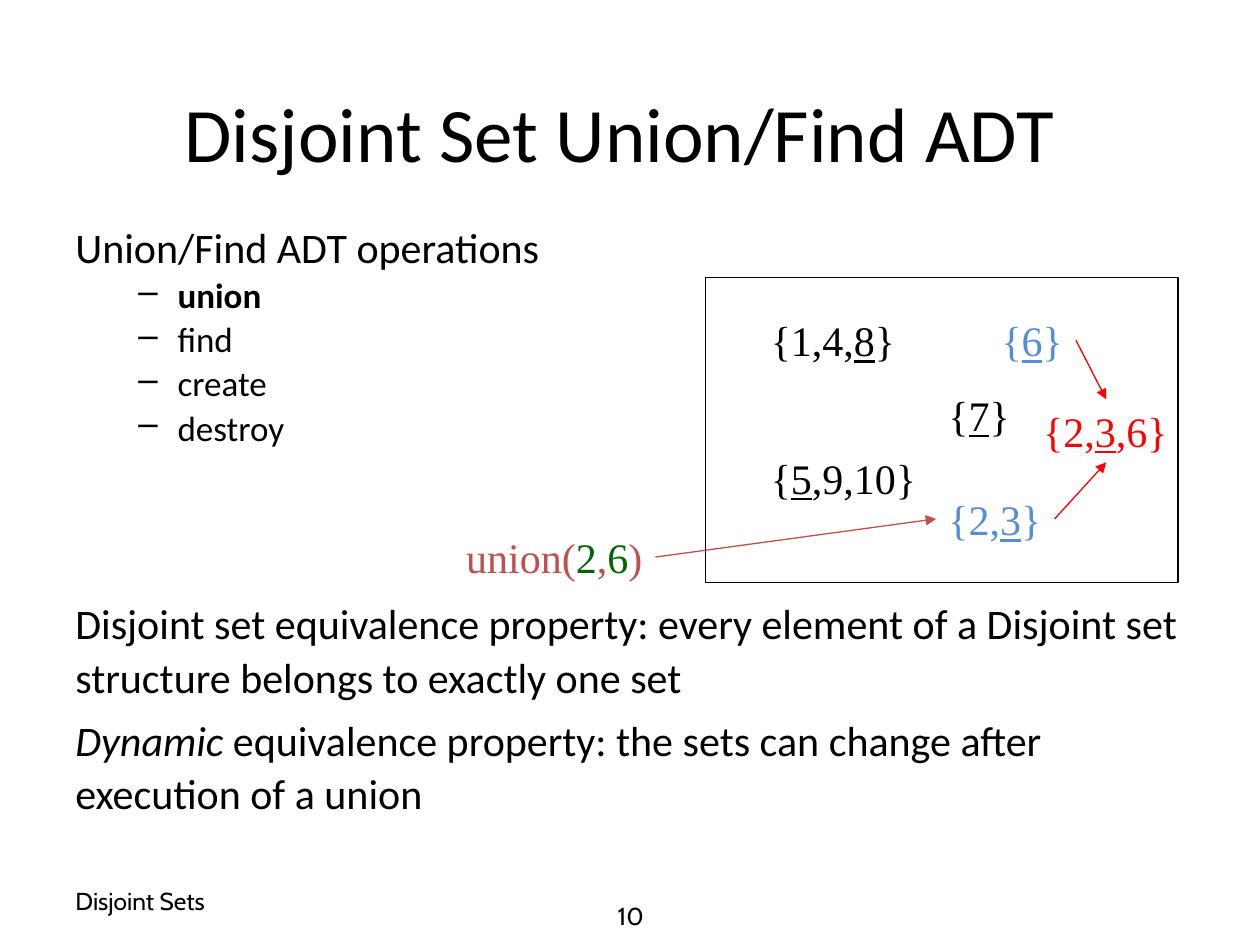
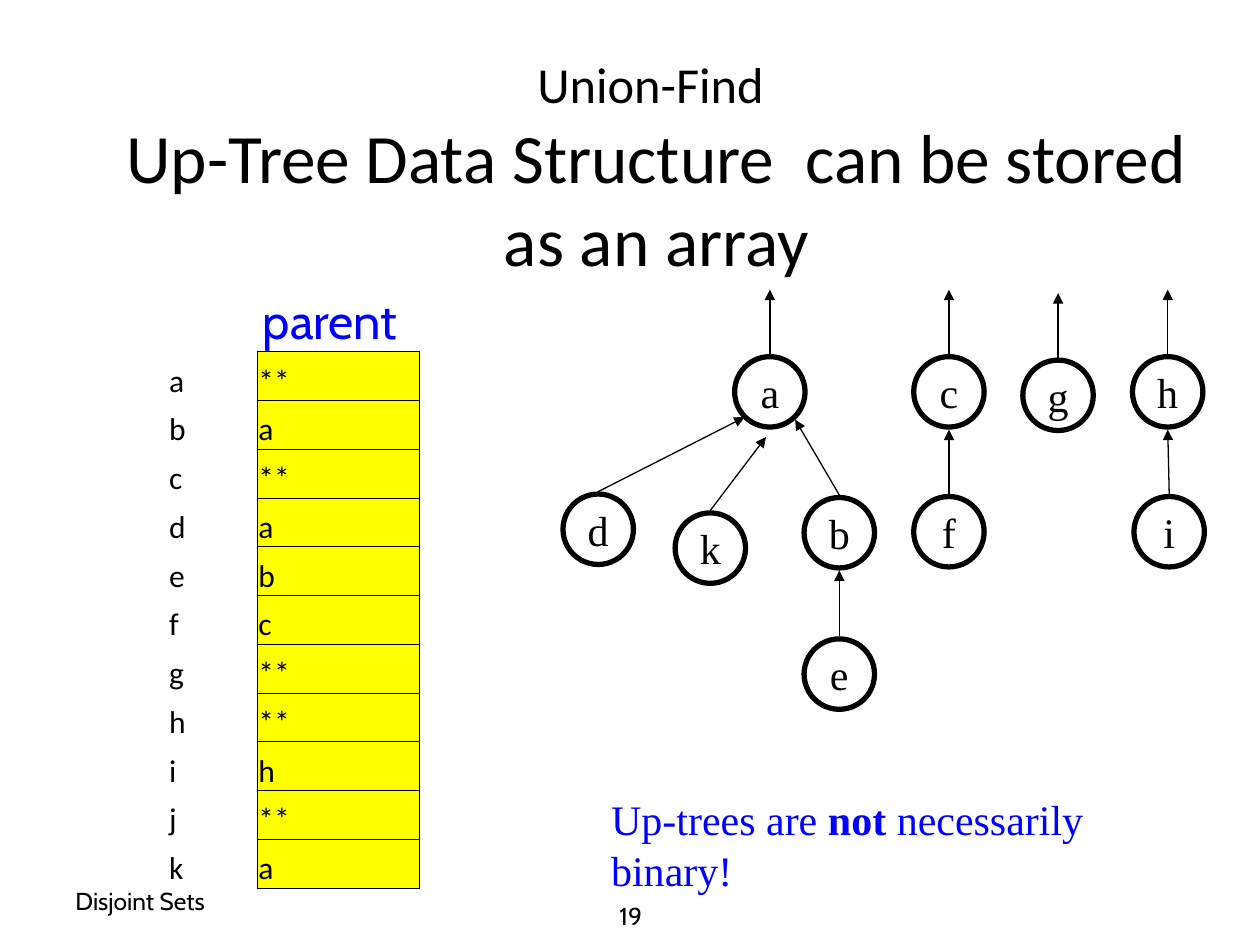
"""Build two slides on disjoint sets: the union/find operations and up-trees."""
from lxml import etree
from pptx import Presentation, util as u
from pptx.dml.color import RGBColor
from pptx.enum import shapes as sh, text as tx
from pptx.oxml import ns

HUES = {"black": "000000", "red": "FF0000", "brick": "C0504D", "sky": "558ED5",
        "green": "006600", "blue": "0000FF", "yellow": "FFFF00"}
SANS, SERIF, CABIN = "Calibri", "Times New Roman", "Cabin"
LEFT, MID, RIGHT = tx.PP_ALIGN.LEFT, tx.PP_ALIGN.CENTER, tx.PP_ALIGN.RIGHT
TOP, CORE, BASE = tx.MSO_ANCHOR.TOP, tx.MSO_ANCHOR.MIDDLE, tx.MSO_ANCHOR.BOTTOM
TINT = {name: RGBColor.from_string(code) for name, code in HUES.items()}


def write(par, runs, size, face=SANS, hue="black"):
    """Add (words, mark) runs; a mark is b, i, u or the name of a colour."""
    for words, mark in runs:
        run = par.add_run()
        run.text = words
        font = run.font
        font.name, font.size = face, u.Pt(size)
        font.color.rgb = TINT[mark if mark in TINT else hue]
        if mark == "b":
            font.bold = True
        elif mark == "i":
            font.italic = True
        elif mark == "u":
            font.underline = True


def box(page, spot, side=LEFT, anchor=TOP, wrap=True):
    """Add a text box at spot (cm) and return its first paragraph."""
    frame = page.shapes.add_textbox(*map(u.Cm, spot)).text_frame
    frame.word_wrap, frame.vertical_anchor = wrap, anchor
    par = frame.paragraphs[0]
    par.alignment = side
    return par


deck = Presentation()
deck.slide_width, deck.slide_height = u.Cm(25.4), u.Cm(19.05)
pages = []
for num in ("10", "19"):
    page = deck.slides.add_slide(deck.slide_layouts[6])
    write(box(page, (1.27, 17.65, 5.92, 1.02), anchor=CORE), [("Disjoint Sets", "")], 14, CABIN)
    write(box(page, (8.69, 17.95, 8.05, 1.02), MID, CORE), [(num, "")], 14, CABIN)
    pages.append(page)
ops, tree = pages
arrows = []

write(box(ops, (1.7, 1.07, 21.59, 3.18), MID, CORE), [("Disjoint Set Union/Find ADT", "")], 44)

lines = [
    ([("Union/Find ADT operations", "")], 24, 0.9, 0),
    ([("union", "b")], 20, 0.9, 3.6),
    ([("find", "")], 20, 0.9, 3.6),
    ([("create", "")], 20, 0.9, 3.6),
    ([("destroy", "")], 20, 0.9, 3.6),
    ([("Disjoint set equivalence property: every element of a Disjoint set "
       "structure belongs to exactly one set", "")], 24, 1.07, 83),
    ([("Dynamic", "i"),
      (" equivalence property: the sets can change after execution of a union", "")], 24, 1.07, 5),
]
body = box(ops, (1.27, 4.45, 22.86, 12.57))
frame = ops.shapes[-1].text_frame
for row, (runs, size, lead, gap) in enumerate(lines):
    par = frame.add_paragraph() if row else body
    if size == 20:
        props = par._p.get_or_add_pPr()
        props.set("marL", str(u.Cm(2.06)))
        props.set("indent", str(u.Cm(-0.79)))
        etree.SubElement(props, ns.qn("a:buChar")).set("char", "–")
    par.line_spacing, par.space_before = lead, u.Pt(gap)
    write(par, runs, size)

pane = ops.shapes.add_shape(sh.MSO_SHAPE.RECTANGLE, *map(u.Cm, (14.22, 5.59, 9.53, 6.15)))
pane.shadow.inherit = False
pane.fill.background()
pane.line.color.rgb, pane.line.width = TINT["black"], u.Pt(0.75)

sets = [
    (15.29, 6.22, 3.02, "black", "{1,4,", "8", "}"),
    (18.87, 7.72, 1.75, "black", "{", "7", "}"),
    (19.94, 6.22, 1.75, "sky", "{", "6", "}"),
    (15.29, 8.99, 3.43, "black", "{", "5", ",9,10}"),
    (18.87, 9.83, 2.39, "sky", "{2,", "3", "}"),
    (20.78, 8.05, 3.02, "red", "{2,", "3", ",6}"),
]
for x, y, wide, hue, head, name, tail in sets:
    par = box(ops, (x, y, wide, 1.27), wrap=False)
    write(par, [(head, ""), (name, "u"), (tail, "")], 24, SERIF, hue)
call = [("union(", ""), ("2", "green"), (",", ""), ("6", "green"), (")", "")]
write(box(ops, (9.14, 10.59, 4.06, 1.27), RIGHT, wrap=False), call, 24, SERIF, "brick")

arrows += [(ops, "brick", 13.21, 11.23, 18.87, 10.46),
           (ops, "red", 21.69, 6.86, 22.3, 8.05),
           (ops, "red", 21.26, 10.46, 22.3, 9.32)]

par = box(tree, (1.7, 0.84, 23.06, 5.05), MID, CORE)
write(par, [("Union-Find ", "")], 28.8)
par.add_line_break()
write(par, [("Up-Tree Data Structure  can be stored as an array", "")], 39.6)

parent = dict(zip("abcdefghijk", ["**", "a", "**", "a", "b", "c", "**", "**", "h", "**", "a"]))
nodes = {"a": (14.81, 7.19), "c": (18.42, 7.19), "g": (20.62, 7.26), "h": (22.83, 7.19),
         "d": (11.35, 9.96), "b": (16.21, 10.03), "e": (16.21, 12.88),
         "f": (18.42, 10.01), "i": (22.86, 10.01), "k": (13.61, 10.34)}
tips = {"d": (15.01, 8.41), "b": (16.03, 8.46), "k": (15.44, 8.81)}
WIDE = 1.42
for name, (x, y) in nodes.items():
    ring = tree.shapes.add_shape(sh.MSO_SHAPE.OVAL, *map(u.Cm, (x, y, WIDE, WIDE)))
    ring.shadow.inherit = False
    ring.fill.background()
    ring.line.color.rgb, ring.line.width = TINT["black"], u.Pt(3)
    frame = ring.text_frame
    frame.word_wrap, frame.vertical_anchor = False, CORE
    frame.paragraphs[0].alignment = MID
    write(frame.paragraphs[0], [(name, "")], 24, SERIF)
    mid = x + WIDE / 2
    if name in tips:
        tip = tips[name]
    elif parent[name] in nodes:
        px, py = nodes[parent[name]]
        tip = px + WIDE / 2, py + WIDE + 0.05
    else:
        tip = mid, y - 1.35
    arrows.append((tree, "black", mid, y - 0.05, *tip))

for page, hue, x1, y1, x2, y2 in arrows:
    link = page.shapes.add_connector(sh.MSO_CONNECTOR.STRAIGHT, *map(u.Cm, (x1, y1, x2, y2)))
    link.line.color.rgb, link.line.width = TINT[hue], u.Pt(0.75)
    etree.SubElement(link.line._get_or_add_ln(), ns.qn("a:tailEnd")).set("type", "triangle")
    etree.SubElement(link._element.spPr, ns.qn("a:effectLst"))

note = [("Up-trees are ", ""), ("not", "b"), (" necessarily binary!", "")]
write(box(tree, (12.07, 15.88, 12.67, 1.27), wrap=False), note, 24, SERIF, "blue")

grid = tree.shapes.add_table(len(parent), 2, *map(u.Cm, (3.38, 7.09, 5.08, 10.82))).table
grid.first_row = grid.horz_banding = False
grid.columns[0].width, grid.columns[1].width = u.Cm(1.8), u.Cm(3.28)
for row, pair in enumerate(parent.items()):
    grid.rows[row].height = u.Cm(10.82 / len(parent))
    for col, word in enumerate(pair):
        cell = grid.cell(row, col)
        cell.margin_left = cell.margin_right = cell.margin_top = u.Cm(0.03)
        cell.margin_bottom = 0
        cell.vertical_anchor = BASE
        write(cell.text_frame.paragraphs[0], [(word, "")], 18)
        if col == 0:
            cell.fill.background()
            edges = ["lnR"]
        else:
            cell.fill.solid()
            cell.fill.fore_color.rgb = TINT["yellow"]
            edges = ["lnL", "lnR", "lnT", "lnB"]
        props = cell._tc.get_or_add_tcPr()
        for spot, edge in enumerate(edges):
            line = etree.Element(ns.qn("a:" + edge), w=str(u.Pt(0.5)))
            fill = etree.SubElement(line, ns.qn("a:solidFill"))
            etree.SubElement(fill, ns.qn("a:srgbClr")).set("val", HUES["black"])
            props.insert(spot, line)

write(box(tree, (5.05, 5.74, 5.36, 1.45)), [("parent", "")], 28, CABIN, "blue")

deck.save("out.pptx")
